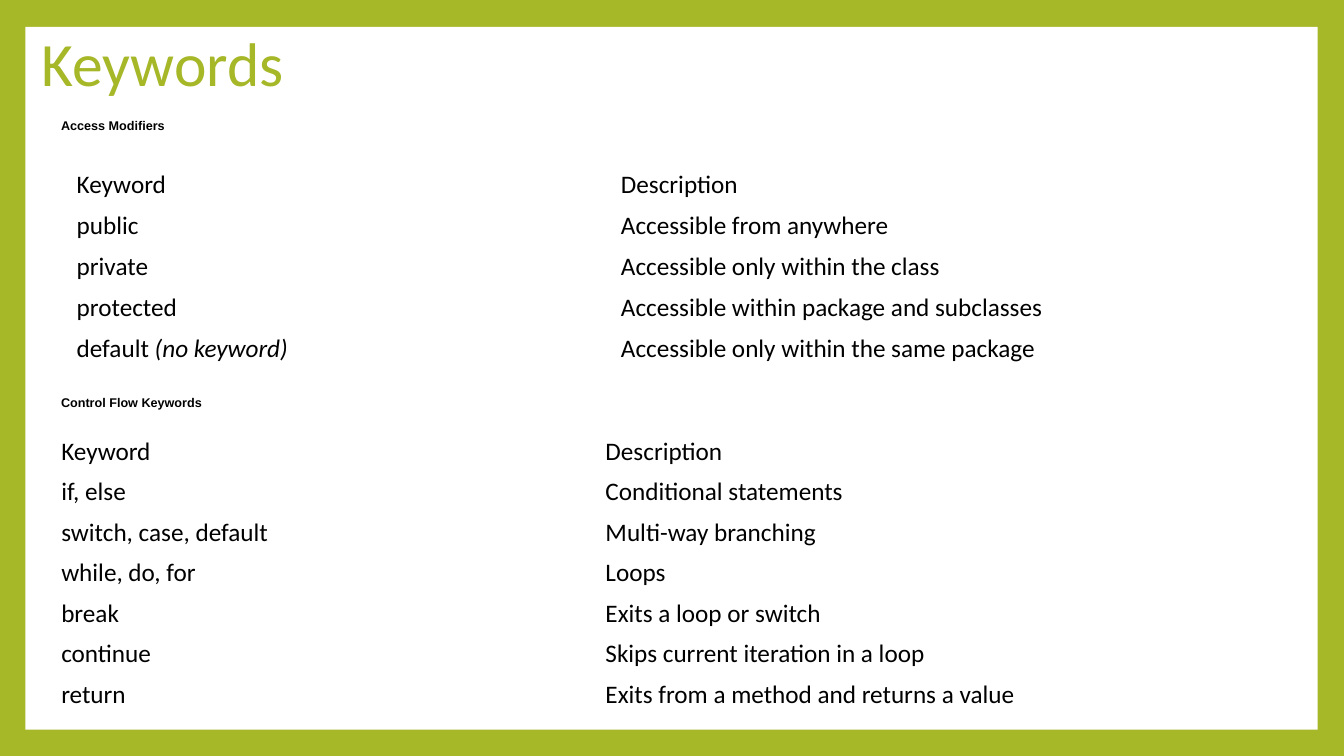
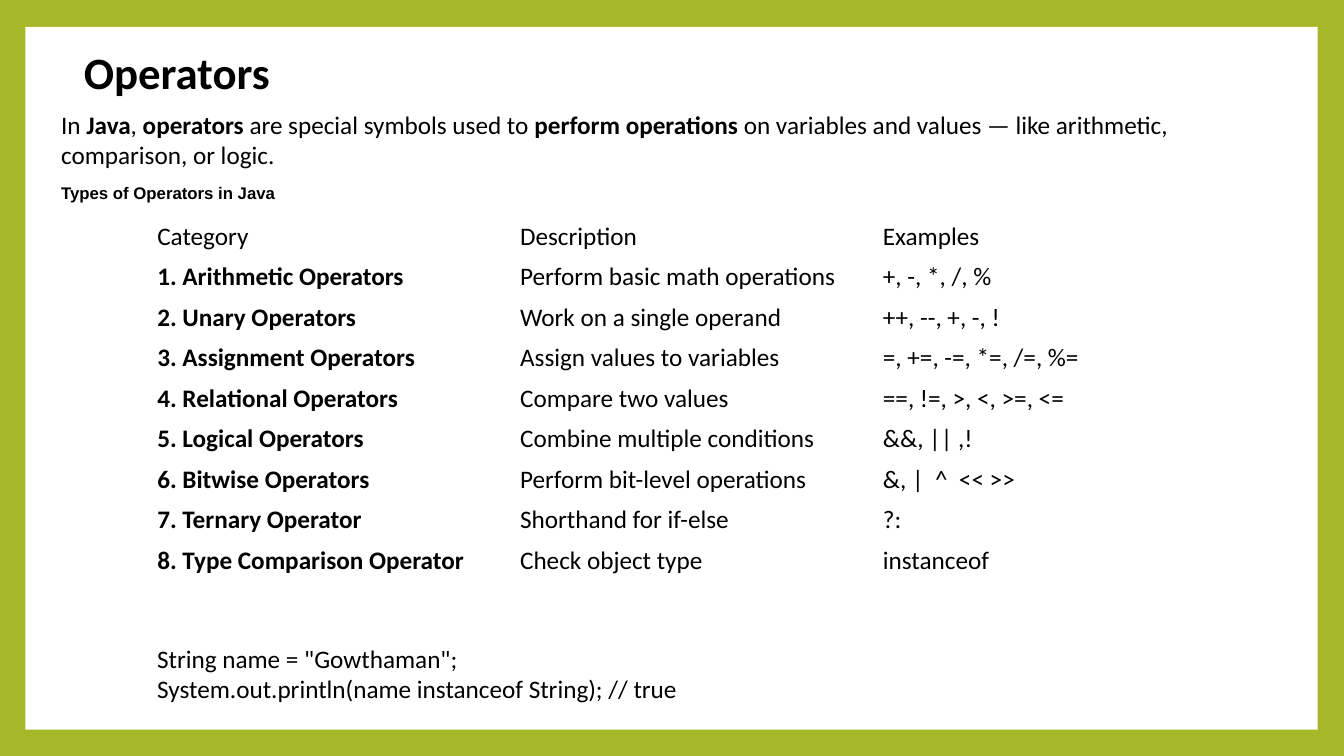
from dataclasses import dataclass
from typing import Any

from pptx import Presentation
from pptx.dml.color import RGBColor
from pptx.enum.shapes import MSO_SHAPE
from pptx.enum.text import MSO_ANCHOR, MSO_AUTO_SIZE, PP_ALIGN
from pptx.presentation import Presentation as Deck
from pptx.slide import Slide
from pptx.text.text import TextFrame
from pptx.util import Cm, Pt


@dataclass(frozen=True)
class TextStyle:
    size: float
    color: RGBColor
    font: str = "Calibri"
    bold: bool = False


@dataclass(frozen=True)
class Theme:
    green: RGBColor = RGBColor(0xA6, 0xB7, 0x27)
    white: RGBColor = RGBColor(0xFF, 0xFF, 0xFF)
    black: RGBColor = RGBColor(0x00, 0x00, 0x00)
    title: TextStyle = TextStyle(44, green)
    strong_title: TextStyle = TextStyle(32, black, bold=True)
    body: TextStyle = TextStyle(18, black)
    small_label: TextStyle = TextStyle(9, black, "Arial", True)
    label: TextStyle = TextStyle(12, black, "Arial", True)


@dataclass(frozen=True)
class Box:
    left: float
    top: float
    width: float
    height: float

    def lengths(self) -> tuple[Cm, Cm, Cm, Cm]:
        return Cm(self.left), Cm(self.top), Cm(self.width), Cm(self.height)


@dataclass(frozen=True)
class Run:
    text: str
    bold: bool = False
    italic: bool = False


@dataclass(frozen=True)
class TextBlock:
    box: Box
    paragraphs: tuple[tuple[Run, ...], ...]
    style: TextStyle
    anchor: MSO_ANCHOR = MSO_ANCHOR.TOP
    line_spacing: float = 1.0


@dataclass(frozen=True)
class TableBlock:
    left: float
    top: float
    rows: tuple[tuple[tuple[Run, ...], ...], ...]
    row_height: float = 1.02


THEME = Theme()
SLIDE_WIDTH, SLIDE_HEIGHT = 33.87, 19.05
PANEL = Box(0.64, 0.68, 32.57, 17.71)
CONTENT_LEFT = 1.29
TABLE_WIDTH = 27.43
CELL_MARGIN = 0.1
LABEL_HEIGHT = 0.76


def plain(*texts: str) -> tuple[tuple[Run, ...], ...]:
    return tuple((Run(text),) for text in texts)


def apply_format(target: Any, values: dict[str, Any]) -> None:
    for name, value in values.items():
        setattr(target, name, value)


def fill_text(frame: TextFrame, paragraphs: tuple[tuple[Run, ...], ...],
              style: TextStyle, line_spacing: float = 1.0) -> None:
    for index, runs in enumerate(paragraphs):
        paragraph = frame.add_paragraph() if index else frame.paragraphs[0]
        apply_format(paragraph, {"alignment": PP_ALIGN.LEFT, "line_spacing": line_spacing})
        for part in runs:
            run = paragraph.add_run()
            run.text = part.text
            apply_format(run.font, {
                "name": style.font,
                "size": Pt(style.size),
                "bold": style.bold or part.bold,
                "italic": part.italic,
            })
            run.font.color.rgb = style.color


def fill_block(shape: Any, block: TextBlock) -> None:
    frame = shape.text_frame
    apply_format(frame, {
        "word_wrap": True,
        "auto_size": MSO_AUTO_SIZE.NONE,
        "vertical_anchor": block.anchor,
    })
    fill_text(frame, block.paragraphs, block.style, block.line_spacing)


def add_text(slide: Slide, block: TextBlock) -> None:
    fill_block(slide.shapes.add_textbox(*block.box.lengths()), block)


def add_label(slide: Slide, text: str, top: float, style: TextStyle) -> None:
    box = Box(CONTENT_LEFT, top, TABLE_WIDTH, LABEL_HEIGHT)
    add_text(slide, TextBlock(box, plain(text), style, MSO_ANCHOR.MIDDLE))


def add_table(slide: Slide, block: TableBlock) -> None:
    row_count, column_count = len(block.rows), len(block.rows[0])
    box = Box(block.left, block.top, TABLE_WIDTH, block.row_height * row_count)
    table = slide.shapes.add_table(row_count, column_count, *box.lengths()).table
    apply_format(table, {"first_row": False, "horz_banding": False})
    for row_index, row in enumerate(block.rows):
        for column_index, runs in enumerate(row):
            cell = table.cell(row_index, column_index)
            cell.fill.background()
            apply_format(cell, {
                "vertical_anchor": MSO_ANCHOR.MIDDLE,
                "margin_top": Cm(CELL_MARGIN),
                "margin_bottom": Cm(CELL_MARGIN),
            })
            fill_text(cell.text_frame, (runs,), THEME.body)


def add_panel(slide: Slide) -> None:
    panel = slide.shapes.add_shape(MSO_SHAPE.RECTANGLE, *PANEL.lengths())
    panel.shadow.inherit = False
    panel.fill.solid()
    panel.fill.fore_color.rgb = THEME.white
    panel.line.fill.background()
    slide.shapes.element.insert(2, panel.element)


def add_titled_slide(presentation: Deck, title: TextBlock) -> Slide:
    slide = presentation.slides.add_slide(presentation.slide_layouts.get_by_name("Title Only"))
    add_panel(slide)
    shape = slide.shapes.title
    left, top, width, height = title.box.lengths()
    apply_format(shape, {"left": left, "top": top, "width": width, "height": height})
    fill_block(shape, title)
    return slide


def style_master(presentation: Deck) -> None:
    background = presentation.slide_master.background.fill
    background.solid()
    background.fore_color.rgb = THEME.green


def build_keywords(presentation: Deck) -> None:
    slide = add_titled_slide(presentation, TextBlock(
        Box(0.79, 0.52, TABLE_WIDTH, 2.3), plain("Keywords"), THEME.title,
        MSO_ANCHOR.MIDDLE, 0.9))
    add_label(slide, "Access Modifiers", 2.77, THEME.small_label)
    add_table(slide, TableBlock(1.68, 4.15, (
        plain("Keyword", "Description"),
        plain("public", "Accessible from anywhere"),
        plain("private", "Accessible only within the class"),
        plain("protected", "Accessible within package and subclasses"),
        ((Run("default "), Run("(no keyword)", italic=True)),
         (Run("Accessible only within the same package"),)),
    ), 1.03))
    add_label(slide, "Control Flow Keywords", 9.75, THEME.small_label)
    add_table(slide, TableBlock(CONTENT_LEFT, 10.87, (
        plain("Keyword", "Description"),
        plain("if, else", "Conditional statements"),
        plain("switch, case, default", "Multi-way branching"),
        plain("while, do, for", "Loops"),
        plain("break", "Exits a loop or switch"),
        plain("continue", "Skips current iteration in a loop"),
        plain("return", "Exits from a method and returns a value"),
    )))


def build_operators(presentation: Deck) -> None:
    slide = add_titled_slide(presentation, TextBlock(
        Box(1.86, 1.0, TABLE_WIDTH, 1.63), plain("Operators"), THEME.strong_title))
    add_text(slide, TextBlock(Box(CONTENT_LEFT, 2.63, 30.96, 1.8), ((
        Run("In "), Run("Java", bold=True), Run(", "), Run("operators", bold=True),
        Run(" are special symbols used to "), Run("perform operations", bold=True),
        Run(" on variables and values — like arithmetic, comparison, or logic."),
    ),), THEME.body))
    add_label(slide, "Types of Operators in Java", 4.48, THEME.label)
    operators = (
        ("Arithmetic Operators", "Perform basic math operations", "+, -, *, /, %"),
        ("Unary Operators", "Work on a single operand", "++, --, +, -, !"),
        ("Assignment Operators", "Assign values to variables", "=, +=, -=, *=, /=, %="),
        ("Relational Operators", "Compare two values", "==, !=, >, <, >=, <="),
        ("Logical Operators", "Combine multiple conditions", "&&, || ,!"),
        ("Bitwise Operators", "Perform bit-level operations", "&, |  ^  << >>"),
        ("Ternary Operator", "Shorthand for if-else", "?:"),
        ("Type Comparison Operator", "Check object type", "instanceof"),
    )
    rows = tuple(
        ((Run(f"{number}. {category}", bold=True),), *plain(description, examples))
        for number, (category, description, examples) in enumerate(operators, 1)
    )
    table_left = 3.71
    add_table(slide, TableBlock(
        table_left, 5.45, (plain("Category", "Description", "Examples"), *rows)))
    add_text(slide, TextBlock(Box(table_left, 16.08, 16.94, 1.8), plain(
        'String name = "Gowthaman";',
        "System.out.println(name instanceof String); // true",
    ), THEME.body))


def main() -> None:
    presentation = Presentation()
    apply_format(presentation, {
        "slide_width": Cm(SLIDE_WIDTH),
        "slide_height": Cm(SLIDE_HEIGHT),
    })
    style_master(presentation)
    build_keywords(presentation)
    build_operators(presentation)
    presentation.save("out.pptx")


if __name__ == "__main__":
    main()
